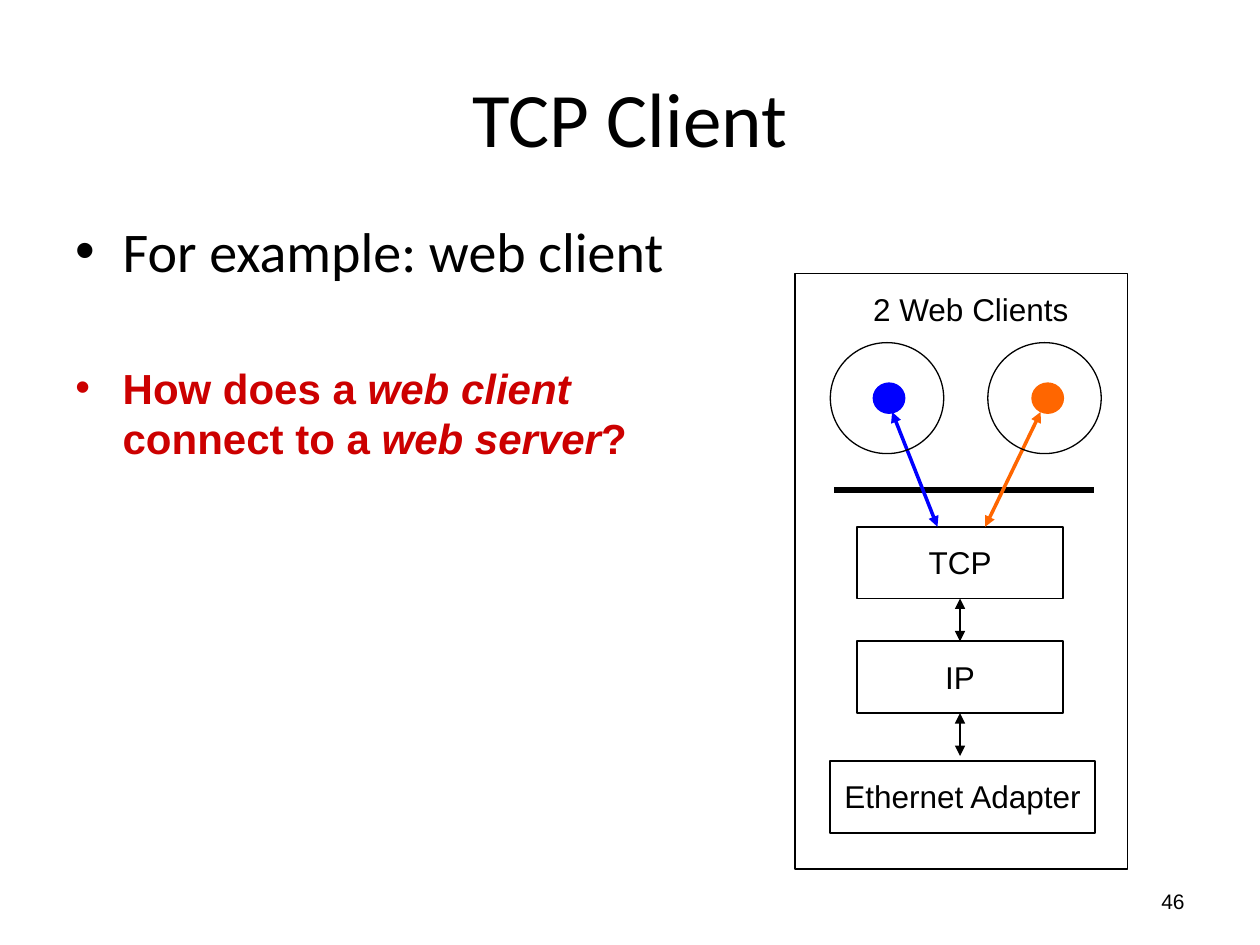
"""Build the TCP Client slide with its protocol stack diagram."""
import pptx
import pptx.util
from lxml import etree
from pptx.dml.color import RGBColor
from pptx.enum.shapes import MSO_CONNECTOR, MSO_SHAPE
from pptx.enum.text import MSO_ANCHOR, PP_ALIGN
from pptx.oxml.ns import qn

Pt = pptx.util.Pt
BLACK = RGBColor(0x00, 0x00, 0x00)
RED = RGBColor(0xCC, 0x00, 0x00)
BLUE = RGBColor(0x00, 0x00, 0xFF)
ORANGE = RGBColor(0xFF, 0x66, 0x00)

TITLE = "TCP Client"
EXAMPLE = [("For example: web client", False)]
QUESTION = [("How does a ", False), ("web client", True), (" connect to a ", False),
            ("web server", True), ("?", False)]
CLIENTS_LABEL = "2 Web Clients"
PAGE_NUMBER = "46"
LAYERS = [("TCP", 489.6, 301, 118), ("IP", 489.6, 366.5, 118),
          ("Ethernet Adapter", 474.5, 434.9, 151.2)]
LAYER_HEIGHT = 41
CLIENTS = [
    {"color": BLUE, "process": 474.5, "socket": 499, "link": (509.8, 535.7)},
    {"color": ORANGE, "process": 564.5, "socket": 589.7, "link": (594.7, 563)},
]


def write(paragraph, runs, size=18, font="Arial", color=BLACK, bold=False,
          align=PP_ALIGN.LEFT, before=0, bullet=False):
    """Fill a paragraph with (text, italic) runs or one plain string."""
    paragraph.alignment = align
    paragraph.space_before = Pt(before)
    if bullet:
        properties = paragraph._p.get_or_add_pPr()
        properties.set("marL", str(Pt(27)))
        properties.set("indent", str(-Pt(27)))
        etree.SubElement(properties, qn("a:buFont")).set("typeface", "Arial")
        etree.SubElement(properties, qn("a:buChar")).set("char", "•")
    for text, italic in [(runs, False)] if isinstance(runs, str) else runs:
        run = paragraph.add_run()
        run.text = text
        run.font.size, run.font.name = Pt(size), font
        run.font.bold, run.font.italic = bold, italic
        run.font.color.rgb = color


def add_text_frame(slide, left, top, width, height, anchor=MSO_ANCHOR.TOP, wrap=True):
    """Add a text box and return its text frame."""
    frame = slide.shapes.add_textbox(Pt(left), Pt(top), Pt(width), Pt(height)).text_frame
    frame.word_wrap, frame.vertical_anchor = wrap, anchor
    return frame


def add_outline(slide, kind, left, top, width, height, line=0.75, color=BLACK, filled=False):
    """Add a preset shape with an outline and an optional fill of the same colour."""
    shape = slide.shapes.add_shape(kind, Pt(left), Pt(top), Pt(width), Pt(height))
    shape.shadow.inherit = False
    if filled:
        shape.fill.solid()
        shape.fill.fore_color.rgb = color
    else:
        shape.fill.background()
    shape.line.color.rgb, shape.line.width = color, Pt(line)
    return shape


def add_link(slide, start, end, width=0.75, color=BLACK, arrows=True):
    """Add a straight connector, by default with an arrowhead at both ends."""
    link = slide.shapes.add_connector(MSO_CONNECTOR.STRAIGHT, *map(Pt, start + end))
    link.line.color.rgb, link.line.width = color, Pt(width)
    if arrows:
        stroke = link.line._get_or_add_ln()
        for tag in ("a:headEnd", "a:tailEnd"):
            etree.SubElement(stroke, qn(tag)).set("type", "triangle")
    etree.SubElement(link._element.spPr, qn("a:effectLst"))
    return link


def add_layer(slide, label, left, top, width):
    """Add one labelled layer of the protocol stack."""
    layer = add_outline(slide, MSO_SHAPE.RECTANGLE, left, top, width, LAYER_HEIGHT, line=1)
    frame = layer.text_frame
    frame.word_wrap, frame.vertical_anchor = False, MSO_ANCHOR.TOP
    frame.margin_left = frame.margin_right = Pt(6.5)
    frame.margin_top = frame.margin_bottom = Pt(9.36)
    write(frame.paragraphs[0], label, align=PP_ALIGN.CENTER)
    return layer


def add_stack(slide):
    """Draw the layers, the links between them and the two clients above."""
    tcp, ip, _ = [add_layer(slide, *layer) for layer in LAYERS]
    tcp_to_ip = add_link(slide, (548.6, 342), (548.6, 366.5))
    tcp_to_ip.begin_connect(tcp, 2)
    tcp_to_ip.end_connect(ip, 0)
    add_link(slide, (548.6, 407.5), (548.6, 432)).begin_connect(ip, 2)
    add_link(slide, (476.6, 280), (625, 280), width=3, arrows=False)
    add_outline(slide, MSO_SHAPE.RECTANGLE, 454.3, 156.2, 190, 340.5)
    for client in CLIENTS:
        color, (socket_x, tcp_x) = client["color"], client["link"]
        add_outline(slide, MSO_SHAPE.OVAL, client["socket"], 218.9, 18, 17.3,
                    color=color, filled=True)
        add_link(slide, (socket_x, 235.4), (tcp_x, 301), width=2, color=color)
    for client in CLIENTS:
        add_outline(slide, MSO_SHAPE.OVAL, client["process"], 195.8, 64.8, 63.4)
    clients = add_text_frame(slide, 491.8, 162, 126, 28.8, wrap=False)
    write(clients.paragraphs[0], CLIENTS_LABEL)


def main():
    """Assemble and save the slide."""
    deck = pptx.Presentation()
    deck.slide_width, deck.slide_height = Pt(720), Pt(540)
    slide = deck.slides.add_slide(deck.slide_layouts[6])
    number = add_text_frame(slide, 516, 500.4, 168, 28.8, MSO_ANCHOR.MIDDLE)
    write(number.paragraphs[0], PAGE_NUMBER, size=12, align=PP_ALIGN.RIGHT)
    add_stack(slide)
    title = add_text_frame(slide, 36, 21.6, 648, 90, MSO_ANCHOR.MIDDLE)
    write(title.paragraphs[0], TITLE, size=44, font="Calibri", align=PP_ALIGN.CENTER)
    body = add_text_frame(slide, 36, 120, 372, 378)
    write(body.paragraphs[0], EXAMPLE, size=32, font="Calibri", bullet=True)
    write(body.add_paragraph(), QUESTION, size=24, color=RED, bold=True,
          before=45, bullet=True)
    deck.save("out.pptx")


if __name__ == "__main__":
    main()
